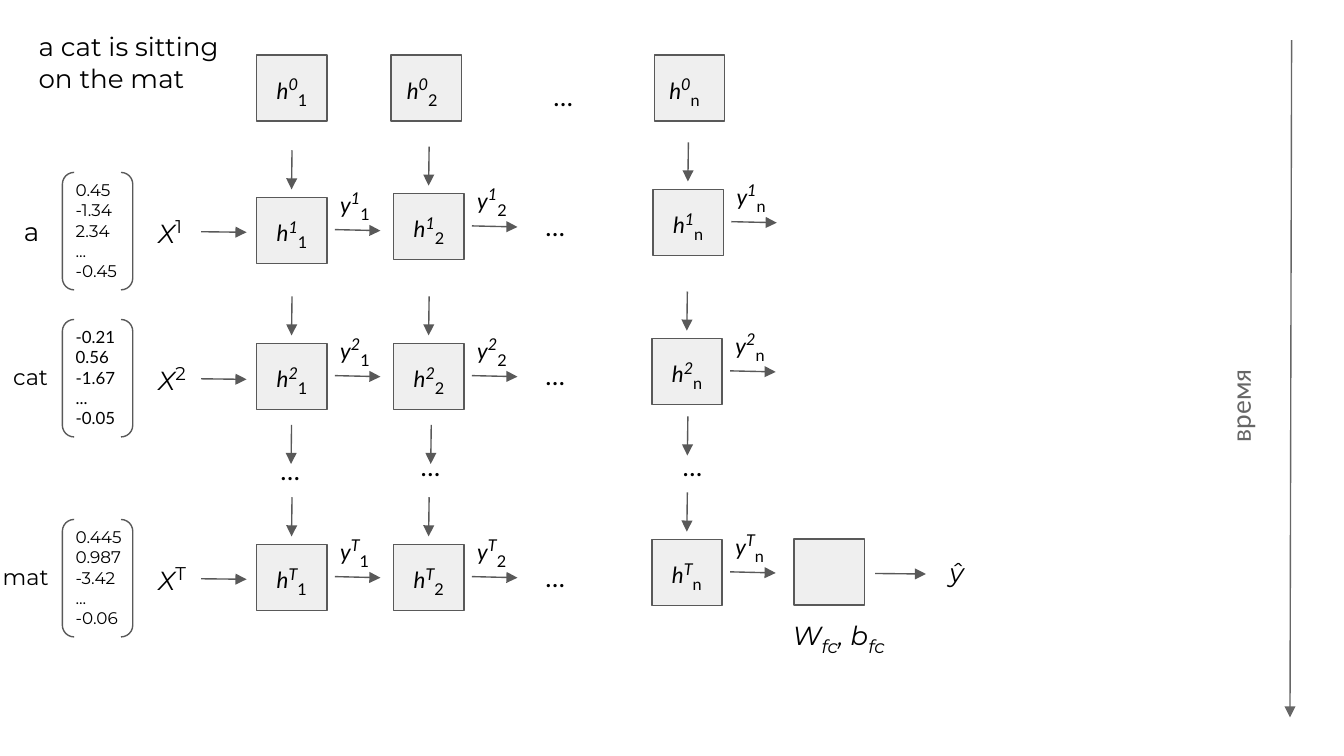
"""Build a slide that unrolls a recurrent network over the words of a sentence."""
from lxml.etree import SubElement
from pptx import Presentation
from pptx.dml.color import RGBColor
from pptx.enum.shapes import MSO_CONNECTOR, MSO_SHAPE
from pptx.enum.text import MSO_AUTO_SIZE
from pptx.oxml.ns import qn
from pptx.util import Cm, Pt

BLACK, GREY, TIME_GREY, CELL_GREY = "000000", "595959", "666666", "EFEFEF"
SANS, DISPLAY = "Lato", "Montserrat"
CELL_WIDTH, CELL_HEIGHT = 1.33, 1.25

deck = Presentation()
deck.slide_width, deck.slide_height = Cm(25.4), Cm(14.29)
slide = deck.slides.add_slide(deck.slide_layouts[6])


def write(left, top, width, height, paragraphs, font, color=BLACK):
    label = slide.shapes.add_textbox(Cm(left), Cm(top), Cm(width), Cm(height))
    frame = label.text_frame
    frame.word_wrap = True
    frame.auto_size = MSO_AUTO_SIZE.SHAPE_TO_FIT_TEXT
    frame.margin_left = frame.margin_right = Cm(0.25)
    frame.margin_top = frame.margin_bottom = Cm(0.25)
    for index, runs in enumerate(paragraphs):
        paragraph = frame.paragraphs[0] if index == 0 else frame.add_paragraph()
        for text, size, italic, baseline in runs:
            run = paragraph.add_run()
            run.text = text
            run.font.name = font
            run.font.size = Pt(size)
            run.font.italic = italic
            run.font.color.rgb = RGBColor.from_string(color)
            if baseline:
                run._r.get_or_add_rPr().set("baseline", str(baseline * 1000))
    return label


def arrow(x1, y1, x2, y2, color=GREY):
    line = slide.shapes.add_connector(
        MSO_CONNECTOR.STRAIGHT, Cm(x1), Cm(y1), Cm(x2), Cm(y2))
    line.line.color.rgb = RGBColor.from_string(color)
    line.line.width = Pt(0.75)
    SubElement(line.line._get_or_add_ln(), qn("a:tailEnd"), type="triangle")
    SubElement(line._element.spPr, qn("a:effectLst"))


write(0.48, 0.33, 3.99, 1.7,
      [[("a cat is sitting on the mat", 14, False, 0)]], DISPLAY)

inputs = [
    ("a", 14, 0.2, 1.14, "1", 3.26, DISPLAY,
     ["0.45", "-1.34", "2.34", "...", "-0.45"]),
    ("cat", 12, 0, 2.24, "2", 6.04, SANS,
     ["-0.21", "0.56", "-1.67", "...", "-0.05"]),
    ("mat", 12, -0.2, 1.52, "T", 9.82, DISPLAY,
     ["0.445", "0.987", "-3.42", "...", "-0.06"]),
]
for word, size, left, width, step, top, vector_font, vector in inputs:
    write(left, top + 0.57, width, 1.05, [[(word, size, False, 0)]], DISPLAY)
    bracket = slide.shapes.add_shape(
        MSO_SHAPE.DOUBLE_BRACKET, Cm(1.18), Cm(top), Cm(1.33), Cm(2.22))
    bracket.shadow.inherit = False
    bracket.fill.background()
    bracket.line.color.rgb = RGBColor.from_string(GREY)
    bracket.line.width = Pt(0.75)
    write(1.18, top - 0.11, 2.13, 2.44,
          [[(value, 9, False, 0)] for value in vector], vector_font)
    write(2.74, top + 0.49, 1.52, 1.24,
          [[("X", 14, True, 0), (step, 17, False, 30)]], DISPLAY)
    arrow(3.8, top + 1.12, 4.66, top + 1.13)

steps = [
    ("0", (4.85, 7.39, 12.37), (1.04, 1.04, 1.04), (0.13, 0.05, 0.03)),
    ("1", (4.85, 7.44, 12.34), (3.73, 3.66, 3.58), (0.13, 0.13, 0.13)),
    ("2", (4.85, 7.44, 12.32), (6.49, 6.49, 6.4), (0.13, 0.13, 0.13)),
    ("T", (4.85, 7.44, 12.32), (10.29, 10.29, 10.2), (0.13, 0.13, 0.13)),
]
cells = [(step, unit, left, top, inset)
         for step, lefts, tops, insets in steps
         for unit, left, top, inset in zip("12n", lefts, tops, insets)]
for step, unit, left, top, inset in cells + [("", "", 15.01, 10.19, 0)]:
    cell = slide.shapes.add_shape(
        MSO_SHAPE.RECTANGLE, Cm(left), Cm(top), Cm(CELL_WIDTH), Cm(CELL_HEIGHT))
    cell.shadow.inherit = False
    cell.fill.solid()
    cell.fill.fore_color.rgb = RGBColor.from_string(CELL_GREY)
    cell.line.color.rgb = RGBColor.from_string(GREY)
    cell.line.width = Pt(0.75)
    if not step:
        continue
    indices = [(step, 15, True, 30), (unit, 15, False, -25)]
    write(left + inset, top + 0.06, 1.47, 1.14,
          [[("h", 12, True, 0)] + indices], SANS)
    if step != "0":
        arrow(left + 0.67, top - 0.89, left + 0.66, top - 0.15)
        arrow(left + 1.48, top + 0.61, left + 2.34, top + 0.63)
        write(left + 1.33, top - 0.48, 1.7, 1.14,
              [[("y", 12, True, 0)] + indices], SANS)

for x, y in [(5.51, 8.03), (8.15, 8.03), (13, 7.87)]:
    arrow(x, y, x - 0.01, y + 0.74)

gaps = [(10.21, 1.27), (10.06, 3.73), (10.06, 6.55), (10.06, 10.36),
        (5.05, 8.33), (7.7, 8.26), (12.65, 8.26)]
for left, top in gaps:
    write(left, top, 0.91, 1.12, [[("…", 14, False, 0)]], SANS)

arrow(16.54, 10.84, 17.5, 10.85)
write(17.7, 10.26, 1.7, 1.12, [[("ŷ", 14, True, 0)]], DISPLAY)
write(14.73, 11.35, 3.68, 1.24,
      [[("W", 14, True, 0), ("fc", 17, True, -25),
        (", b", 14, True, 0), ("fc", 17, True, -25)]], DISPLAY)

arrow(24.41, 0.76, 24.38, 13.56, TIME_GREY)
time_label = write(22.45, 7.04, 2.01, 1.12,
                   [[("время", 14, False, 0)]], SANS, TIME_GREY)
time_label.rotation = 270

deck.save("out.pptx")
